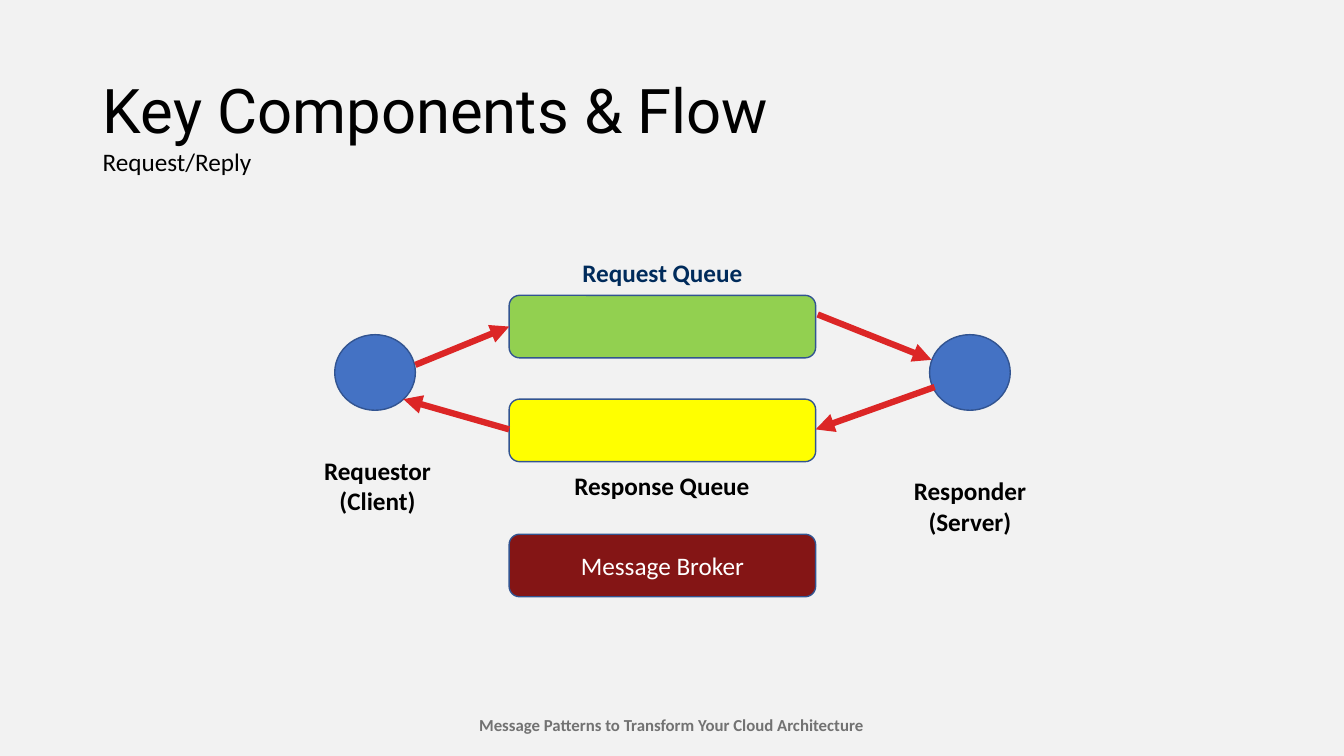
from lxml import etree
from pptx import Presentation
from pptx.dml.color import RGBColor
from pptx.enum import shapes, text
from pptx.oxml import ns
from pptx.util import Inches, Pt

BACKGROUND = RGBColor(0xF2, 0xF2, 0xF2)
BLACK = RGBColor(0, 0, 0)
WHITE = RGBColor(0xFF, 0xFF, 0xFF)
GRAY = RGBColor(0x72, 0x72, 0x72)
NAVY = RGBColor(0x00, 0x2B, 0x5B)
BLUE = RGBColor(0x44, 0x72, 0xC4)
OUTLINE = RGBColor(0x32, 0x54, 0x91)
GREEN = RGBColor(0x92, 0xD0, 0x50)
YELLOW = RGBColor(0xFF, 0xFF, 0x00)
MAROON = RGBColor(0x84, 0x15, 0x15)
RED = RGBColor(0xDC, 0x26, 0x26)

CIRCLE = shapes.MSO_SHAPE.OVAL
BAR = shapes.MSO_SHAPE.ROUNDED_RECTANGLE
BAR_LEFT, BAR_WIDTH, BAR_HEIGHT = 5.05, 3.04, 0.62
CIRCLE_TOP, CIRCLE_WIDTH, CIRCLE_HEIGHT = 3.32, 0.8, 0.75


def write(shape, lines, size=18, font="Calibri", color=BLACK, bold=False,
          align=text.PP_ALIGN.CENTER, anchor=text.MSO_ANCHOR.TOP,
          spacing=None, wrap=False):
    frame = shape.text_frame
    frame.word_wrap = wrap
    frame.vertical_anchor = anchor
    frame.text = lines
    for paragraph in frame.paragraphs:
        paragraph.alignment = align
        paragraph.line_spacing = spacing
        paragraph.font.size = Pt(size)
        paragraph.font.name = font
        paragraph.font.bold = bold
        paragraph.font.color.rgb = color


def add_label(container, lines, box, **style):
    label = container.shapes.add_textbox(*map(Inches, box))
    write(label, lines, **style)


def add_node(container, kind, box, fill):
    node = container.shapes.add_shape(kind, *map(Inches, box))
    node.shadow.inherit = False
    node.fill.solid()
    node.fill.fore_color.rgb = fill
    node.line.color.rgb = OUTLINE
    node.line.width = Pt(1)
    return node


def add_labelled_node(slide, kind, box, fill, lines, label_box, color=BLACK):
    group = slide.shapes.add_group_shape()
    add_node(group, kind, box, fill)
    add_label(group, lines, label_box, color=color, bold=True)


def add_arrow(slide, start, end):
    arrow = slide.shapes.add_connector(
        shapes.MSO_CONNECTOR.STRAIGHT, *map(Inches, start + end))
    arrow.line.color.rgb = RED
    arrow.line.width = Pt(4.5)
    etree.SubElement(arrow.line._get_or_add_ln(), ns.qn("a:tailEnd"), type="triangle")
    etree.SubElement(arrow._element.spPr, ns.qn("a:effectLst"))


def add_title(slide):
    title = slide.shapes.title
    title.left, title.top = Inches(0.92), Inches(0.4)
    title.width, title.height = Inches(11.5), Inches(1.45)
    write(title, "Key Components & Flow", size=44, font="Roboto", spacing=0.9,
          align=text.PP_ALIGN.LEFT, anchor=text.MSO_ANCHOR.MIDDLE, wrap=True)


def main():
    presentation = Presentation()
    presentation.slide_width = Inches(13.33)
    presentation.slide_height = Inches(7.5)
    slide = presentation.slides.add_slide(presentation.slide_layouts[5])
    slide.background.fill.solid()
    slide.background.fill.fore_color.rgb = BACKGROUND

    add_title(slide)
    add_label(slide, "Message Patterns to Transform Your Cloud Architecture",
              (4.63, 7.04, 4.06, 0.3), size=12, color=GRAY, bold=True)

    for left, lines, label_box in (
        (3.32, "Requestor\n(Client)", (3.11, 4.47, 1.27, 0.71)),
        (9.22, "Responder\n(Server)", (8.96, 4.67, 1.32, 0.71)),
    ):
        circle_box = (left, CIRCLE_TOP, CIRCLE_WIDTH, CIRCLE_HEIGHT)
        add_labelled_node(slide, CIRCLE, circle_box, BLUE, lines, label_box)

    for top, fill, name, label_box, color in (
        (2.93, GREEN, "Request Queue", (5.67, 2.5, 1.8, 0.4), NAVY),
        (3.96, YELLOW, "Response Queue", (5.59, 4.62, 1.95, 0.4), BLACK),
    ):
        queue_box = (BAR_LEFT, top, BAR_WIDTH, BAR_HEIGHT)
        add_labelled_node(slide, BAR, queue_box, fill, name, label_box, color)

    broker = add_node(slide, BAR, (BAR_LEFT, 5.3, BAR_WIDTH, BAR_HEIGHT), MAROON)
    write(broker, "Message Broker", color=WHITE,
          anchor=text.MSO_ANCHOR.MIDDLE, wrap=True)

    for start, end in (
        ((4.12, 3.62), (5.05, 3.24)),
        ((8.11, 3.12), (9.24, 3.57)),
        ((9.27, 3.84), (8.09, 4.26)),
        ((5.05, 4.26), (4, 3.96)),
    ):
        add_arrow(slide, start, end)

    add_label(slide, "Request/Reply", (0.92, 1.4, 2.09, 0.4),
              align=text.PP_ALIGN.LEFT, wrap=True)
    presentation.save("out.pptx")


if __name__ == "__main__":
    main()
